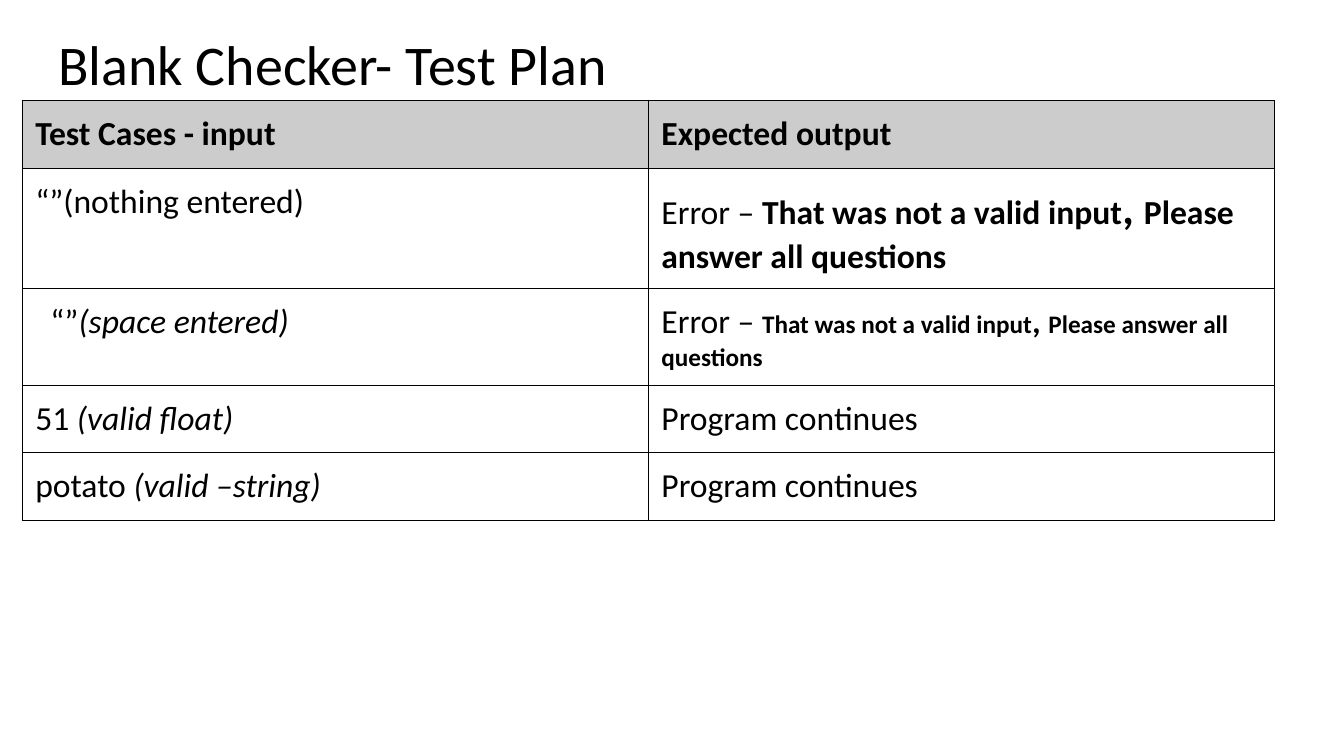
from dataclasses import dataclass

from lxml.etree import SubElement
from pptx import Presentation
from pptx.dml.color import RGBColor
from pptx.enum.text import MSO_ANCHOR
from pptx.oxml.ns import qn
from pptx.util import Inches, Pt


@dataclass(frozen=True)
class Theme:
    font: str = "Calibri"
    ink: str = "000000"
    header_fill: str = "CCCCCC"
    title: int = 40
    large: int = 32
    body: int = 24
    small: int = 18
    border: float = 0.75
    inset: float = 0.13
    space_indent: float = 0.15


THEME = Theme()


@dataclass(frozen=True)
class Part:
    text: str
    size: int = THEME.body
    bold: bool = False
    italic: bool = False


def error_message(message_size, comma_size):
    return [
        Part("Error – "),
        Part("That was not a valid input", message_size, bold=True),
        Part(", ", comma_size, bold=True),
        Part("Please answer all questions", message_size, bold=True),
    ]


CONTINUES = [Part("Program continues")]
TEST_PLAN = [
    ([Part("Test Cases - input", bold=True)], [Part("Expected output", bold=True)]),
    ([Part("“”(nothing entered)")], error_message(THEME.body, THEME.large)),
    (
        [Part("“”"), Part("(space entered)", italic=True)],
        error_message(THEME.small, THEME.body),
    ),
    ([Part("51 "), Part("(valid float)", italic=True)], CONTINUES),
    ([Part("potato "), Part("(valid –string)", italic=True)], CONTINUES),
]
SPACE_ROW = 2


def write_parts(paragraph, parts):
    for part in parts:
        run = paragraph.add_run()
        run.text = part.text
        run.font.name = THEME.font
        run.font.size = Pt(part.size)
        run.font.bold = part.bold
        run.font.italic = part.italic
        run.font.color.rgb = RGBColor.from_string(THEME.ink)


def set_insets(holder):
    holder.margin_left = holder.margin_right = Inches(THEME.inset)
    holder.margin_top = holder.margin_bottom = Inches(THEME.inset)


def add_title(slide, text):
    box = slide.shapes.add_textbox(
        Inches(0.45), Inches(0.24), Inches(12.42), Inches(0.84)
    )
    text_frame = box.text_frame
    text_frame.word_wrap = True
    text_frame.vertical_anchor = MSO_ANCHOR.TOP
    set_insets(text_frame)
    paragraph = text_frame.paragraphs[0]
    paragraph.line_spacing = 0.9
    write_parts(paragraph, [Part(text, THEME.title)])


def add_borders(cell):
    properties = cell._tc.get_or_add_tcPr()
    for side in ("a:lnL", "a:lnR", "a:lnT", "a:lnB"):
        line = SubElement(properties, qn(side), w=str(Pt(THEME.border)))
        fill = SubElement(line, qn("a:solidFill"))
        SubElement(fill, qn("a:srgbClr"), val=THEME.ink)


def format_cell(cell, is_header):
    set_insets(cell)
    cell.vertical_anchor = MSO_ANCHOR.TOP
    add_borders(cell)
    if is_header:
        cell.fill.solid()
        cell.fill.fore_color.rgb = RGBColor.from_string(THEME.header_fill)
    else:
        cell.fill.background()


def add_test_table(slide, rows):
    row_height = Inches(0.67)
    table = slide.shapes.add_table(
        len(rows), 2, Inches(0.22), Inches(1), Inches(12.42), row_height * len(rows)
    ).table
    table.first_row = False
    table.horz_banding = False
    for row_index, row in enumerate(rows):
        table.rows[row_index].height = row_height
        for column_index, parts in enumerate(row):
            cell = table.cell(row_index, column_index)
            format_cell(cell, row_index == 0)
            write_parts(cell.text_frame.paragraphs[0], parts)
    table.cell(SPACE_ROW, 0).margin_left = Inches(THEME.inset + THEME.space_indent)


def main():
    presentation = Presentation()
    presentation.slide_width = Inches(13.33)
    presentation.slide_height = Inches(7.5)
    slide = presentation.slides.add_slide(presentation.slide_layouts[6])
    add_title(slide, "Blank Checker- Test Plan")
    add_test_table(slide, TEST_PLAN)
    presentation.save("out.pptx")


if __name__ == "__main__":
    main()
